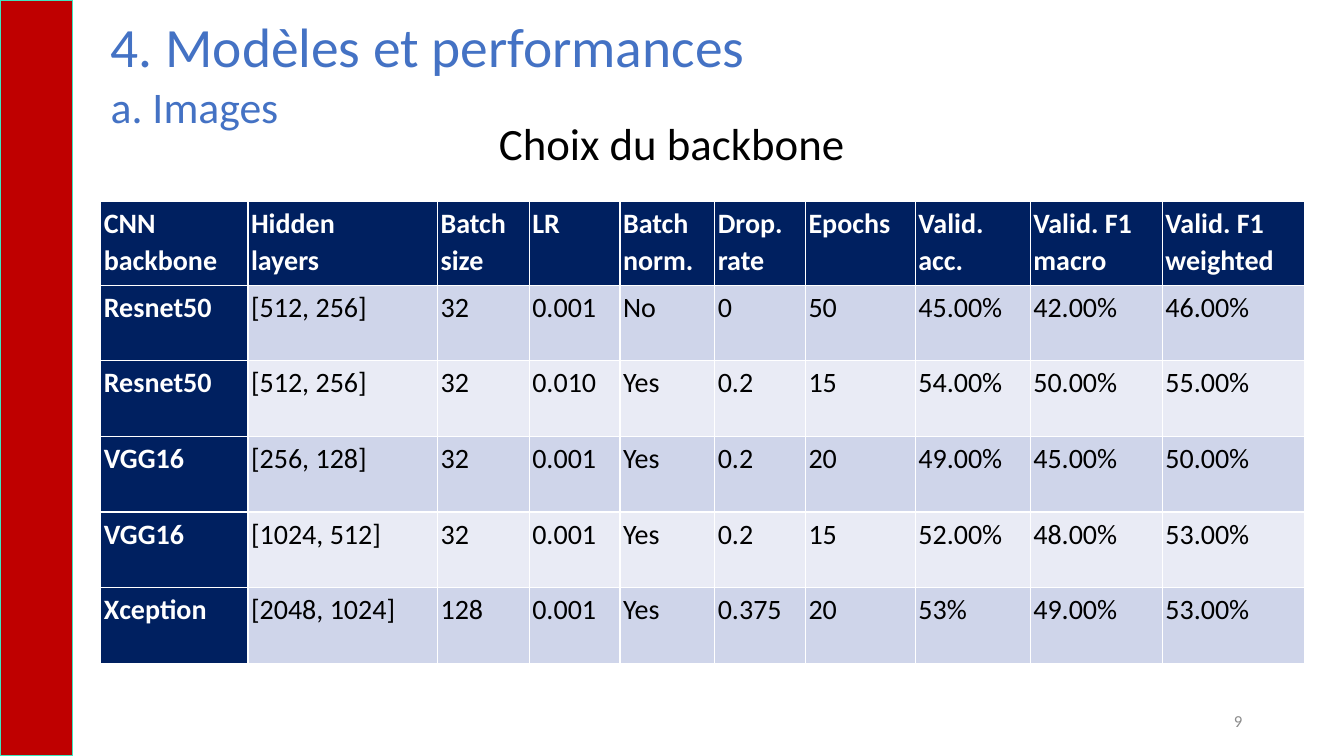
from pptx import Presentation
from pptx.dml.color import RGBColor
from pptx.enum.shapes import MSO_SHAPE
from pptx.enum.text import MSO_ANCHOR, MSO_AUTO_SIZE, PP_ALIGN
from pptx.util import Inches, Pt

FONT = "Calibri"
NAVY, BLUE, WHITE, BLACK = "002060", "4472C4", "FFFFFF", "000000"
BANDS = ["CFD5EA", "E9EBF5"]

HEADS = ["CNN\nbackbone", "Hidden\nlayers", "Batch\nsize", "LR", "Batch\nnorm.",
         "Drop.\nrate", "Epochs", "Valid.\nacc.", "Valid. F1\nmacro",
         "Valid. F1\nweighted"]
RUNS = [
    ["Resnet50", "[512, 256]", "32", "0.001", "No", "0", "50",
     "45.00%", "42.00%", "46.00%"],
    ["Resnet50", "[512, 256]", "32", "0.010", "Yes", "0.2", "15",
     "54.00%", "50.00%", "55.00%"],
    ["VGG16", "[256, 128]", "32", "0.001", "Yes", "0.2", "20",
     "49.00%", "45.00%", "50.00%"],
    ["VGG16", "[1024, 512]", "32", "0.001", "Yes", "0.2", "15",
     "52.00%", "48.00%", "53.00%"],
    ["Xception", "[2048, 1024]", "128", "0.001", "Yes", "0.375", "20",
     "53%", "49.00%", "53.00%"],
]
WIDTHS = [1.46, 1.88, 0.91, 0.9, 0.94, 0.9, 1.09, 1.14, 1.31, 1.41]
HEAD_HIGH, ROW_HIGH = 0.83, 0.75


def paint(hue):
    return RGBColor.from_string(hue)


def style(frame, size, hue, align=PP_ALIGN.LEFT, space=None, bold=False):
    for para in frame.paragraphs:
        para.alignment = align
        para.line_spacing = space
        for run in para.runs:
            font = run.font
            font.name, font.size, font.bold = FONT, Pt(size), bold
            font.color.rgb = paint(hue)


def add_text(slide, box, text, size, hue, anchor=MSO_ANCHOR.MIDDLE, **look):
    frame = slide.shapes.add_textbox(*map(Inches, box)).text_frame
    frame.word_wrap = True
    frame.vertical_anchor = anchor
    frame.text = text
    style(frame, size, hue, **look)


def add_bar(slide, box):
    bar = slide.shapes.add_shape(MSO_SHAPE.RECTANGLE, *map(Inches, box))
    bar.shadow.inherit = False
    bar.fill.solid()
    bar.fill.fore_color.rgb = paint("BF0000")
    bar.line.color.rgb = paint("40E4BE")
    bar.line.width = Pt(1)


def add_heading(slide, box):
    """Fill the title placeholder and set the subtitle just below it."""
    left, top, width, height = box
    title = slide.shapes.title
    title.left, title.top, title.width, title.height = map(Inches, box)
    frame = title.text_frame
    frame.text = "4. Modèles et performances"
    frame.auto_size = MSO_AUTO_SIZE.NONE
    frame.vertical_anchor = MSO_ANCHOR.MIDDLE
    style(frame, 39.6, BLUE, space=0.8)
    add_text(slide, (left, top + 0.57, width, height), "a. Images", 31.2, BLUE,
             space=0.9)


def fill_cell(cell, text, back, hue, bold):
    cell.margin_left = cell.margin_right = Inches(0.03)
    cell.margin_top = cell.margin_bottom = Inches(0.03)
    cell.fill.solid()
    cell.fill.fore_color.rgb = paint(back)
    cell.text_frame.text = text
    style(cell.text_frame, 20, hue, PP_ALIGN.JUSTIFY, 1.07, bold)


def add_grid(slide, left, top):
    rows = [HEADS] + RUNS
    high = HEAD_HIGH + ROW_HIGH * len(RUNS)
    table = slide.shapes.add_table(
        len(rows), len(HEADS), Inches(left), Inches(top),
        Inches(sum(WIDTHS)), Inches(high)).table
    table.first_col = True
    for column, width in zip(table.columns, WIDTHS):
        column.width = Inches(width)
    for r, row in enumerate(rows):
        table.rows[r].height = Inches(ROW_HIGH if r else HEAD_HIGH)
        for c, text in enumerate(row):
            head = r == 0 or c == 0
            back = NAVY if head else BANDS[(r - 1) % 2]
            fill_cell(table.cell(r, c), text, back, WHITE if head else BLACK, head)


def main():
    deck = Presentation()
    deck.slide_width, deck.slide_height = Inches(13.33), Inches(7.5)
    slide = deck.slides.add_slide(deck.slide_layouts[5])
    add_bar(slide, (0, 0, 0.72, 7.5))
    add_heading(slide, (1, 0.17, 11.16, 0.68))
    add_text(slide, (4.85, 1.1, 4.96, 0.64), "Choix du backbone", 32, BLACK,
             MSO_ANCHOR.TOP)
    add_grid(slide, 1, 2)
    add_text(slide, (9.42, 6.95, 3, 0.4), "9", 12, "8C8C8C", align=PP_ALIGN.RIGHT)
    deck.save("out.pptx")


if __name__ == "__main__":
    main()
